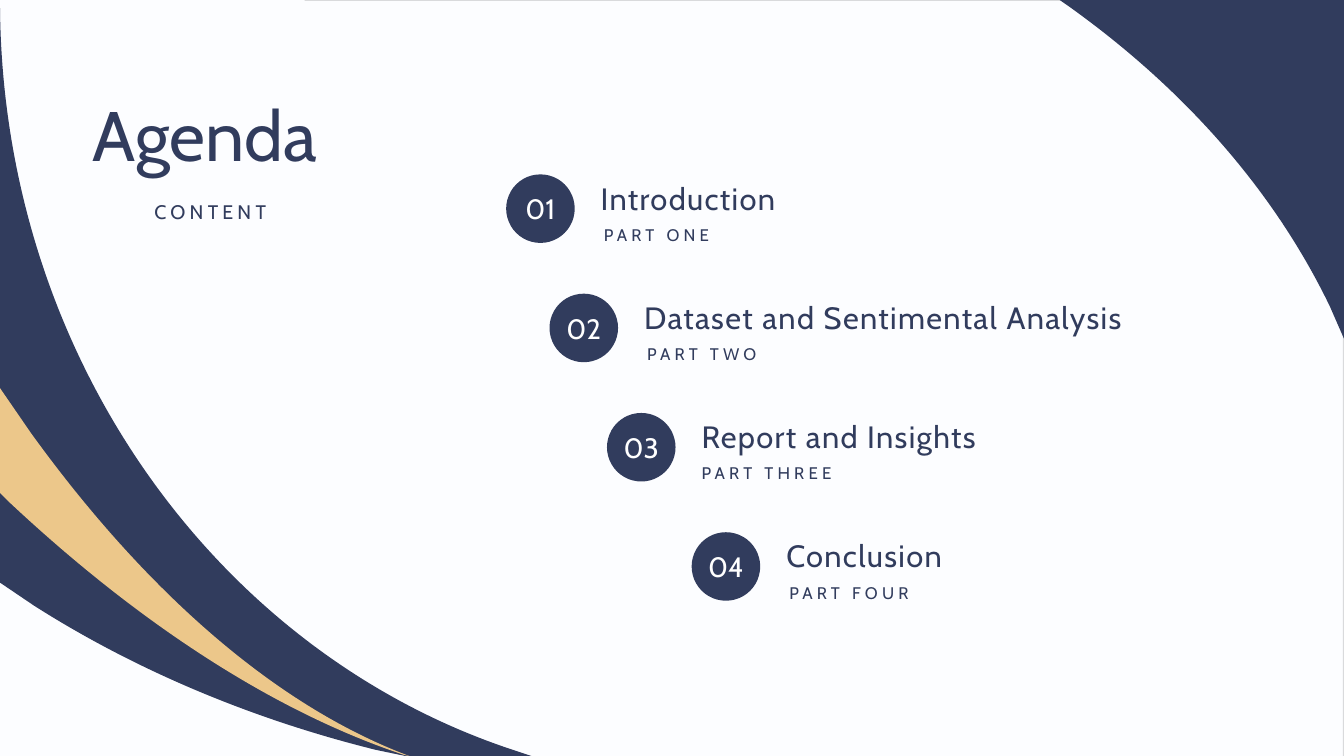
from pptx import Presentation
from pptx.dml.color import RGBColor
from pptx.enum import shapes, text
from pptx.oxml import ns, xmlchemy
from pptx.util import Inches, Pt

NAVY = RGBColor(0x31, 0x3C, 0x5D)
GOLD = RGBColor(0xEC, 0xC7, 0x8A)
PALE = RGBColor(0xFC, 0xFD, 0xFF)
GREY = RGBColor(0xD9, 0xDA, 0xDC)
WHITE = RGBColor(0xFF, 0xFF, 0xFF)

# Outlines in inches: a pair is a corner, six numbers are a Bezier curve.
EDGE_LINE = [(3.02, 0), (13.33, 0), (13.33, 7.5), (13.32, 7.5),
             (13.32, 0.01), (3.02, 0.01)]
CORNER = [(10.51, 0), (13.33, 0), (13.33, 3.36), (13.19, 3.04),
          (12.63, 1.88, 11.74, 0.88, 10.61, 0.07)]
NAVY_SWOOSH = [(4.02, 7.5), (5.27, 7.5), (5.12, 7.45),
               (2.16, 6.49, 0, 3.52, 0, 0), (0, 5.78), (0.34, 6.01),
               (1.33, 6.64, 2.48, 7.13, 3.73, 7.44)]
GOLD_SWOOSH = [(0, 3.85), (0.31, 4.3), (1.46, 5.89, 2.75, 7.01, 4.06, 7.5),
               (4.01, 7.49), (2.72, 7.06, 1.38, 6.19, 0.08, 4.97), (0, 4.89)]

# Circle left, heading, heading width, part label, label offset
AGENDA = [
    (5.02, "Introduction", 4.91, "PART ONE", 0.87),
    (5.45, "Dataset and Sentimental Analysis", 5.42, "PART TWO", 0.87),
    (6.02, "Report and Insights", 4.91, "PART THREE", 0.84),
    (6.86, "Conclusion", 4.91, "PART FOUR", 0.87),
]
FIRST_TOP, LAST_TOP = 1.73, 5.28
ROW_STEP = (LAST_TOP - FIRST_TOP) / (len(AGENDA) - 1)
CIRCLE_SIZE = 0.68


def write(shape, words, size, color=NAVY, align=text.PP_ALIGN.LEFT,
          anchor=text.MSO_ANCHOR.TOP, spacing=0, line=1.0, wrap=True):
    frame = shape.text_frame
    frame.auto_size = text.MSO_AUTO_SIZE.NONE
    frame.word_wrap = wrap
    frame.vertical_anchor = anchor
    paragraph = frame.paragraphs[0]
    paragraph.alignment = align
    paragraph.line_spacing = line
    run = paragraph.add_run()
    run.text = words
    run.font.name = "Cabin"
    run.font.size = Pt(size)
    run.font.color.rgb = color
    if spacing:
        run._r.get_or_add_rPr().set("spc", str(spacing * 100))
    return frame


def add_label(slide, box, words, size, **style):
    label = slide.shapes.add_textbox(*map(Inches, box))
    return write(label, words, size, **style)


def paint(shape, color):
    shape.shadow.inherit = False
    shape.fill.solid()
    shape.fill.fore_color.rgb = color
    shape.line.fill.background()


def bend(shape, outline):
    """Join the three lines that stand for each curve into one Bezier."""
    lines = iter(list(shape._element.iter(ns.qn("a:lnTo"))))
    for step in outline[1:]:
        first = next(lines)
        if len(step) == 2:
            continue
        curve = xmlchemy.OxmlElement("a:cubicBezTo")
        first.addprevious(curve)
        for line in (first, next(lines), next(lines)):
            curve.append(line[0])
            line.getparent().remove(line)


def add_outline(slide, outline, color):
    points = [(Inches(step[i]), Inches(step[i + 1]))
              for step in outline for i in range(0, len(step), 2)]
    builder = slide.shapes.build_freeform(*points[0])
    builder.add_line_segments(points[1:], close=False)
    shape = builder.convert_to_shape()
    bend(shape, outline)
    path_end = next(shape._element.iter(ns.qn("a:path")))
    path_end.append(xmlchemy.OxmlElement("a:close"))
    paint(shape, color)


def add_agenda_item(slide, number, left, heading, width, part, part_offset):
    top = FIRST_TOP + (number - 1) * ROW_STEP
    circle = slide.shapes.add_shape(
        shapes.MSO_SHAPE.OVAL,
        *map(Inches, (left, top, CIRCLE_SIZE, CIRCLE_SIZE)))
    paint(circle, NAVY)
    write(circle, f"{number:02}", 20, color=WHITE, wrap=False,
          align=text.PP_ALIGN.CENTER, anchor=text.MSO_ANCHOR.MIDDLE)
    add_label(slide, (left + 0.84, top + 0.04, width, 0.43), heading, 22,
              spacing=1, line=0.9, anchor=text.MSO_ANCHOR.MIDDLE)
    add_label(slide, (left + part_offset, top + 0.47, 4.53, 0.26), part, 12,
              spacing=3, line=0.9)


def add_title(slide):
    title = slide.shapes.title
    title.left, title.top = Inches(0.6), Inches(0.95)
    title.width, title.height = Inches(2.65), Inches(0.86)
    write(title, "Agenda", 50, align=text.PP_ALIGN.RIGHT, line=0.9, wrap=False)
    subtitle = add_label(slide, (0, 1.97, 2.76, 0.26), "CONTENT", 14, spacing=3,
                         align=text.PP_ALIGN.RIGHT,
                         anchor=text.MSO_ANCHOR.MIDDLE)
    subtitle.margin_left = subtitle.margin_top = subtitle.margin_bottom = 0
    subtitle.margin_right = Inches(0.12)


def main():
    deck = Presentation()
    deck.slide_width, deck.slide_height = Inches(13.33), Inches(7.5)
    slide = deck.slides.add_slide(deck.slide_layouts[5])
    slide.background.fill.solid()
    slide.background.fill.fore_color.rgb = PALE

    for outline, color in ((EDGE_LINE, GREY), (CORNER, NAVY),
                           (NAVY_SWOOSH, NAVY), (GOLD_SWOOSH, GOLD)):
        add_outline(slide, outline, color)
    add_title(slide)
    for number, item in enumerate(AGENDA, start=1):
        add_agenda_item(slide, number, *item)
    deck.save("out.pptx")


if __name__ == "__main__":
    main()
